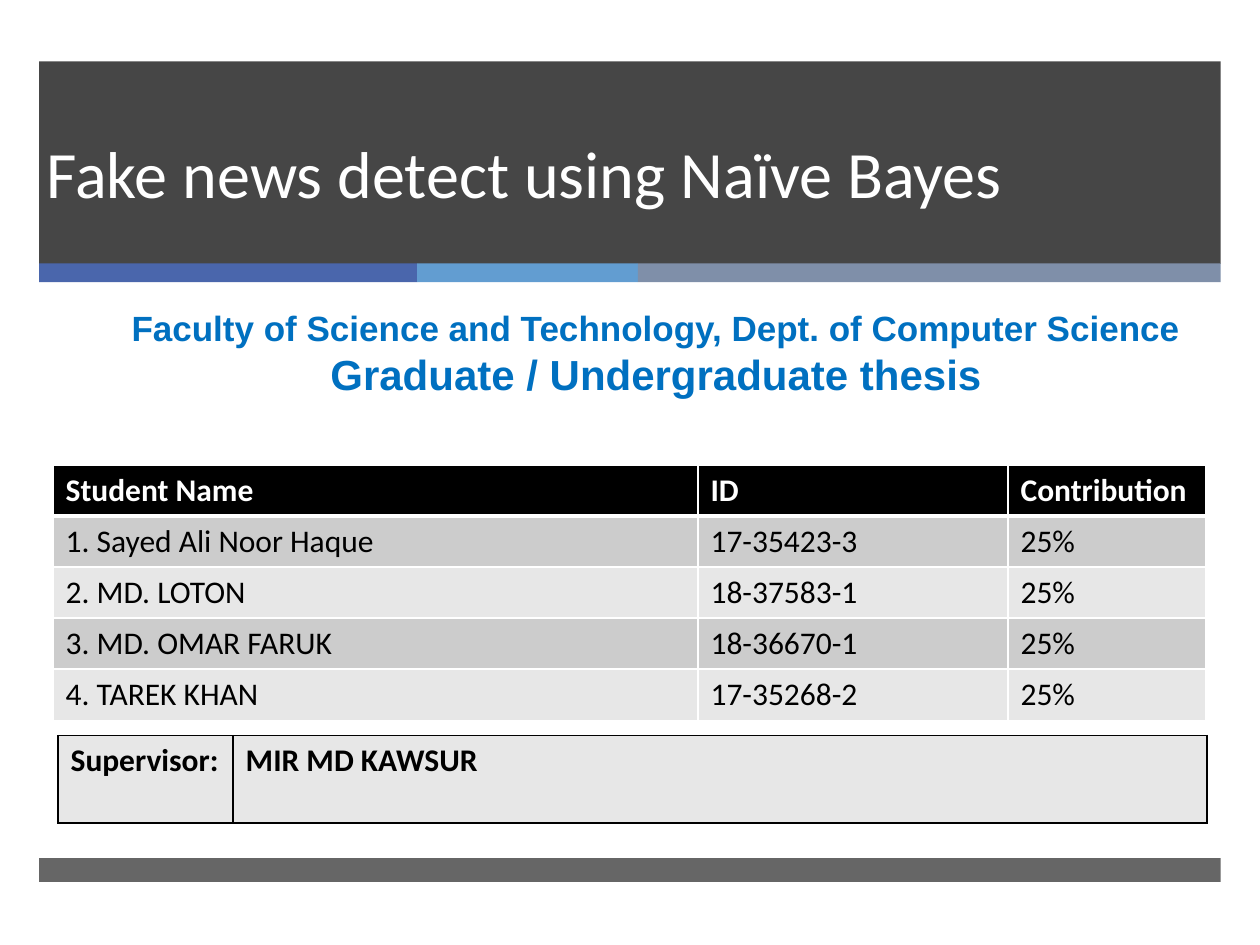
import lxml.etree
import pptx
import pptx.dml.color
import pptx.enum.shapes
import pptx.enum.text
import pptx.oxml.ns
import pptx.util

Cm = pptx.util.Cm
Pt = pptx.util.Pt
RGBColor = pptx.dml.color.RGBColor
qn = pptx.oxml.ns.qn

WHITE = RGBColor(0xFF, 0xFF, 0xFF)
BLACK = RGBColor(0x00, 0x00, 0x00)
CHARCOAL = RGBColor(0x26, 0x26, 0x26)
INDIGO = RGBColor(0x4A, 0x66, 0xAC)
SKY = RGBColor(0x62, 0x9D, 0xD1)
SLATE = RGBColor(0x7F, 0x8F, 0xA9)
HEADING_BLUE = RGBColor(0x00, 0x70, 0xC0)
DARK_ROW = RGBColor(0xCC, 0xCC, 0xCC)
LIGHT_ROW = RGBColor(0xE7, 0xE7, 0xE7)


def format_run(paragraph, font_name, size, color, bold):
    font = paragraph.runs[0].font
    font.name = font_name
    font.size = Pt(size)
    font.color.rgb = color
    font.bold = bold


def format_cell(cell, text, fill, color, bold, border, top=1, bottom=1):
    cell.text_frame.text = text
    format_run(cell.text_frame.paragraphs[0], "Calibri", 18, color, bold)
    cell.fill.solid()
    cell.fill.fore_color.rgb = fill
    properties = cell._tc.get_or_add_tcPr()
    widths = {"a:lnL": 1, "a:lnR": 1, "a:lnT": top, "a:lnB": bottom}
    for position, (side, width) in enumerate(widths.items()):
        line = lxml.etree.Element(qn(side), w=str(Pt(width)))
        solid = lxml.etree.SubElement(line, qn("a:solidFill"))
        lxml.etree.SubElement(solid, qn("a:srgbClr"), val=str(border))
        properties.insert(position, line)


presentation = pptx.Presentation()
presentation.slide_width = Cm(25.4)
presentation.slide_height = Cm(19.05)
slide = presentation.slides.add_slide(presentation.slide_layouts[6])

bands = [
    (0.79, 1.24, 23.82, 4.08, CHARCOAL, 85),
    (0.79, 5.31, 7.62, 0.38, INDIGO, 100),
    (8.41, 5.31, 4.45, 0.38, SKY, 100),
    (12.86, 5.31, 11.75, 0.38, SLATE, 100),
    (0.79, 17.3, 23.82, 0.48, CHARCOAL, 70),
]
for left, top, width, height, color, opacity in bands:
    band = slide.shapes.add_shape(
        pptx.enum.shapes.MSO_SHAPE.RECTANGLE, Cm(left), Cm(top), Cm(width), Cm(height)
    )
    band.shadow.inherit = False
    band.line.fill.background()
    band.fill.solid()
    band.fill.fore_color.rgb = color
    if opacity < 100:
        fill_color = band._element.spPr.find(qn("a:solidFill"))[0]
        lxml.etree.SubElement(fill_color, qn("a:alpha"), val=str(opacity * 1000))

title = slide.shapes.add_textbox(Cm(0.69), Cm(1.37), Cm(21.69), Cm(3.02))
title.text_frame.word_wrap = True
title.text_frame.vertical_anchor = pptx.enum.text.MSO_ANCHOR.BOTTOM
title.text_frame.text = "Fake news detect using Naïve Bayes"
title.text_frame.paragraphs[0].line_spacing = Pt(46)
format_run(title.text_frame.paragraphs[0], "Calibri", 37.8, WHITE, False)

department = slide.shapes.add_textbox(Cm(0.69), Cm(6.05), Cm(25.07), Cm(2.13))
department.text_frame.word_wrap = True
department.text_frame.text = (
    "Faculty of Science and Technology, Dept. of Computer Science\n"
    "Graduate / Undergraduate thesis"
)
for paragraph, size in zip(department.text_frame.paragraphs, (20, 24)):
    paragraph.alignment = pptx.enum.text.PP_ALIGN.CENTER
    format_run(paragraph, "Arial", size, HEADING_BLUE, True)

students = [
    ("Student Name", "ID", "Contribution"),
    ("1. Sayed Ali Noor Haque", "17-35423-3", "25%"),
    ("2. MD. LOTON", "18-37583-1", "25%"),
    ("3. MD. OMAR FARUK", "18-36670-1", "25%"),
    ("4. TAREK KHAN", "17-35268-2", "25%"),
]
student_table = slide.shapes.add_table(
    5, 3, Cm(1.07), Cm(9.37), Cm(23.24), Cm(5.15)
).table
for column, width in zip(student_table.columns, (13, 6.25, 3.99)):
    column.width = Cm(width)
for row_index, student in enumerate(students):
    student_table.rows[row_index].height = Cm(1.03)
    is_header = row_index == 0
    fill = BLACK if is_header else DARK_ROW if row_index % 2 else LIGHT_ROW
    for column_index, text in enumerate(student):
        format_cell(
            student_table.cell(row_index, column_index),
            text,
            fill,
            WHITE if is_header else BLACK,
            is_header,
            WHITE,
            top=3 if row_index == 1 else 1,
            bottom=3 if is_header else 1,
        )

supervisor_table = slide.shapes.add_table(
    1, 2, Cm(1.17), Cm(14.83), Cm(23.16), Cm(1.76)
).table
for column_index, (text, width) in enumerate(
    [("Supervisor:", 3.53), ("MIR MD KAWSUR", 19.63)]
):
    supervisor_table.columns[column_index].width = Cm(width)
    format_cell(
        supervisor_table.cell(0, column_index), text, LIGHT_ROW, BLACK, True, BLACK
    )

presentation.save("out.pptx")
